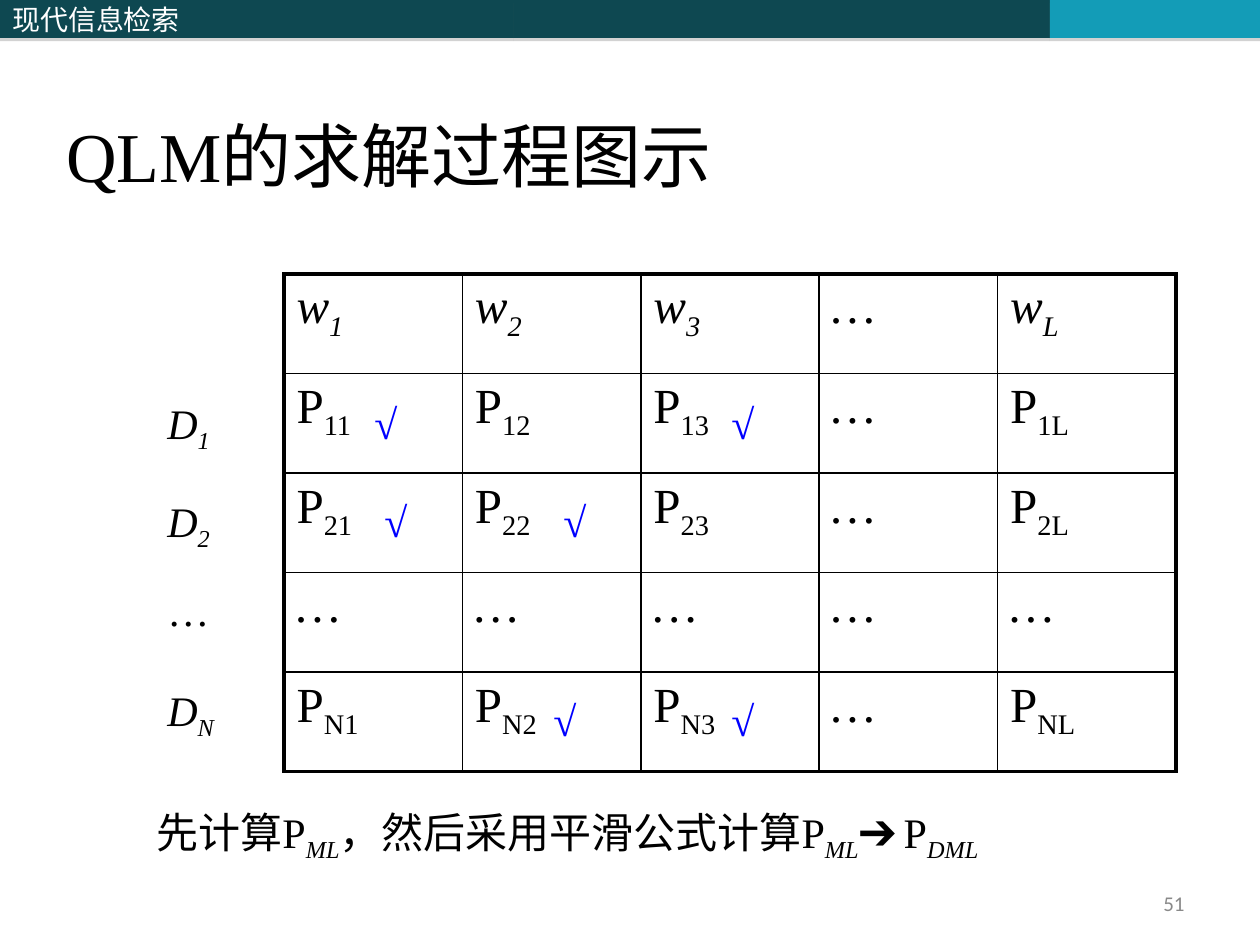
"""Build the slide on solving QLM, with its term probability table."""
from lxml.etree import SubElement
from pptx import Presentation
from pptx.dml.color import RGBColor
from pptx.enum.shapes import MSO_SHAPE as Shape
from pptx.enum.text import MSO_ANCHOR as Anchor, MSO_AUTO_SIZE as Fit, PP_ALIGN as Align
from pptx.oxml.ns import qn
from pptx.util import Pt

PX = 914400 // 126
COLORS = {"dark": "0E4851", "accent": "139CB7", "white": "FFFFFF", "black": "000000",
          "tick": "0000FF", "number": "898989", "shadow": "808080"}
SERIF, CJK, SANS = "Times New Roman", "Noto Sans CJK SC", "Calibri"

BANDS = [(514, "dark", "现代信息检索"), (536, "dark", ""), (210, "accent", "")]
BAND_H = 38
TITLE = "QLM的求解过程图示"
CELLS = [
    ["w_1", "w_2", "w_3", "…", "w_L"],
    ["P_11", "P_12", "P_13", "…", "P_1L"],
    ["P_21", "P_22", "P_23", "…", "P_2L"],
    ["…", "…", "…", "…", "…"],
    ["P_N1", "P_N2", "P_N3", "…", "P_NL"],
]
TABLE_BOX = (284, 274, 892, 498)
LABELS = [("D_1", 391), ("D_2", 489), ("…", 578), ("D_N", 678)]
TICKS = [(362, 391), (719, 391), (372, 489), (551, 489), (541, 688), (719, 688)]
SUMMARY = "先计算P_ML_，然后采用平滑公式计算P_ML_➔P_DML"


def px(*values):
    return [round(v * PX) for v in values]


def rgb(name):
    return RGBColor.from_string(COLORS[name])


def write(tf, text, size=24, font=SERIF, color="black", italic=False,
          sub_italic=None, before=0, align=None):
    """Fill a text frame; underscores switch subscript on and off."""
    p = tf.paragraphs[0]
    if align is not None:
        p.alignment = align
    if before:
        space = SubElement(p._p.get_or_add_pPr(), qn("a:spcBef"))
        SubElement(space, qn("a:spcPct"), val=str(before * 1000))
    for i, part in enumerate(text.split("_")):
        sub = i % 2 == 1
        r = p.add_run()
        r.text = part
        r.font.size, r.font.name = Pt(size), font
        r.font.color.rgb = rgb(color)
        r.font.italic = sub_italic if sub and sub_italic is not None else italic
        rpr = r.font._element
        if sub:
            rpr.set("baseline", "-25000")
        if any("\u4e00" <= ch <= "\u9fff" for ch in part):
            SubElement(rpr, qn("a:ea"), typeface=CJK)


def add_text(s, box, text, anchor=Anchor.TOP, grow=False, **fmt):
    tf = s.shapes.add_textbox(*px(*box)).text_frame
    tf.word_wrap = True
    tf.vertical_anchor = anchor
    tf.auto_size = Fit.SHAPE_TO_FIT_TEXT if grow else Fit.NONE
    write(tf, text, **fmt)


def add_band(s, left, width, color, text):
    sp = s.shapes.add_shape(Shape.RECTANGLE, *px(left, 0, width, BAND_H))
    sp.fill.solid()
    sp.fill.fore_color.rgb = rgb(color)
    sp.line.fill.background()
    sp.shadow.inherit = False
    effects = sp._element.spPr.find(qn("a:effectLst"))
    shadow = SubElement(effects, qn("a:outerShdw"), blurRad="0", dist=str(Pt(1.8)),
                        dir="5400000", rotWithShape="0")
    tint = SubElement(shadow, qn("a:srgbClr"), val=COLORS["shadow"])
    SubElement(tint, qn("a:alpha"), val="35000")
    if text:
        sp.text_frame.vertical_anchor = Anchor.MIDDLE
        write(sp.text_frame, text, size=16, font=CJK, color="white", align=Align.LEFT)


def set_borders(cell, widths):
    tc_pr = cell._tc.get_or_add_tcPr()
    for i, (side, width) in enumerate(widths.items()):
        ln = tc_pr.makeelement(qn("a:ln" + side), {"w": str(Pt(width))})
        fill = SubElement(ln, qn("a:solidFill"))
        SubElement(fill, qn("a:srgbClr"), val=COLORS["black"])
        tc_pr.insert(i, ln)


def add_probabilities(s):
    rows, cols = len(CELLS), len(CELLS[0])
    left, top, width, height = TABLE_BOX
    table = s.shapes.add_table(rows, cols, *px(*TABLE_BOX)).table
    table.first_row = table.horz_banding = False
    for col in table.columns:
        col.width = px(width / cols)[0]
    for row in table.rows:
        row.height = px(height / rows)[0]
    for y, line in enumerate(CELLS):
        for x, text in enumerate(line):
            cell = table.cell(y, x)
            cell.fill.background()
            outer = {"L": x == 0, "R": x == cols - 1, "T": y == 0, "B": y == rows - 1}
            set_borders(cell, {side: 2.25 if edge else 1 for side, edge in outer.items()})
            write(cell.text_frame, text, size=28, before=20,
                  italic=y == 0 or (text == "…" and x == 3) or y == 3)


prs = Presentation()
prs.slide_width, prs.slide_height = px(1260, 945)
s = prs.slides.add_slide(prs.slide_layouts[6])

band_left = 0
for band_width, band_color, band_text in BANDS:
    add_band(s, band_left, band_width, band_color, band_text)
    band_left += band_width

add_text(s, (54, 45, 949, 158), TITLE, size=40, anchor=Anchor.BOTTOM)
add_probabilities(s)
add_text(s, (935, 872, 262, 63), "51", size=12, font=SANS, color="number",
         anchor=Anchor.MIDDLE, align=Align.RIGHT)
for label, label_top in LABELS:
    add_text(s, (155, label_top, 110, 63), label, grow=True, before=50, italic=label != "…")
for tick_left, tick_top in TICKS:
    add_text(s, (tick_left, tick_top, 89, 63), "√", grow=True, before=50, color="tick")
add_text(s, (144, 800, 1116, 63), SUMMARY, grow=True, before=50, sub_italic=True)

prs.save("out.pptx")
